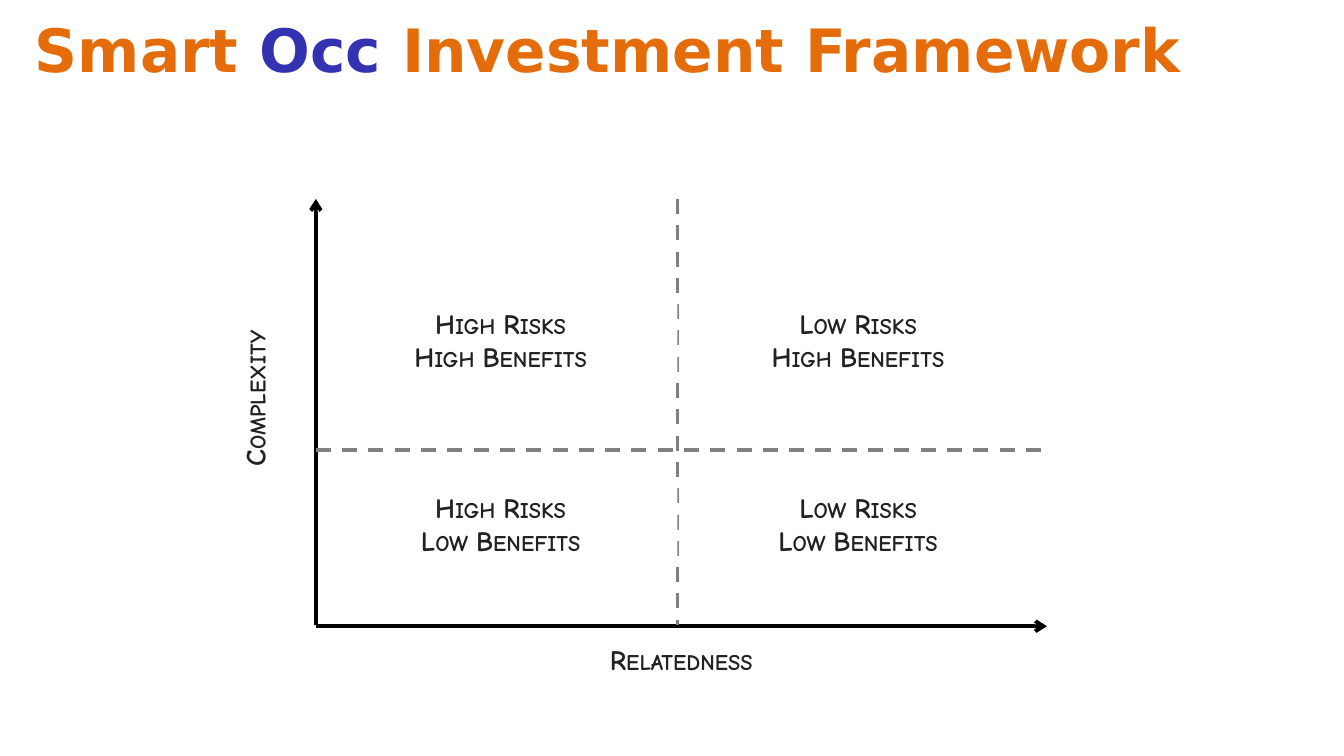
import pptx
import pptx.util
import pptx.dml.color
import pptx.enum.dml
import pptx.enum.shapes
import pptx.enum.text
import pptx.oxml
import pptx.oxml.ns

Pt = pptx.util.Pt
RGB = pptx.dml.color.RGBColor
Align = pptx.enum.text.PP_ALIGN
Anchor = pptx.enum.text.MSO_ANCHOR
Fit = pptx.enum.text.MSO_AUTO_SIZE

ORANGE = RGB(0xE4, 0x6C, 0x0A)
BLUE = RGB(0x33, 0x33, 0xB2)
BLACK = RGB(0, 0, 0)
GRAY = RGB(0x80, 0x80, 0x80)
INK = RGB(0x22, 0x22, 0x22)
WHITE = RGB(0xFF, 0xFF, 0xFF)


class Deck:
    head_font, head_size = "DejaVu Sans", 32
    font, size = "Comic Neue", 15
    weight = 2

    def __init__(self, width, height):
        self.file = pptx.Presentation()
        self.file.slide_width, self.file.slide_height = Pt(width), Pt(height)
        self.slide = self.file.slides.add_slide(self.file.slide_layouts[5])

    def title(self, parts, left, top, width, height):
        box = self.slide.shapes.title
        box.left, box.top = Pt(left), Pt(top)
        box.width, box.height = Pt(width), Pt(height)
        frame = box.text_frame
        frame.auto_size = Fit.NONE
        frame.vertical_anchor = Anchor.MIDDLE
        frame.margin_left = Pt(21.6)
        para = frame.paragraphs[0]
        para.alignment = Align.LEFT
        for text, color in parts:
            run = para.add_run()
            run.text = text
            run.font.name, run.font.size = self.head_font, Pt(self.head_size)
            run.font.bold = True
            run.font.color.rgb = color

    def line(self, x1, y1, x2, y2, color, dash=False, arrow=False):
        line = self.slide.shapes.add_connector(
            pptx.enum.shapes.MSO_CONNECTOR.STRAIGHT,
            Pt(x1), Pt(y1), Pt(x2), Pt(y2))
        line.line.color.rgb = color
        line.line.width = Pt(self.weight)
        if dash:
            line.line.dash_style = pptx.enum.dml.MSO_LINE.DASH
        props = line._element.spPr
        if arrow:
            tail = pptx.oxml.ns.qn("a:tailEnd")
            props.find(pptx.oxml.ns.qn("a:ln")).append(
                pptx.oxml.parse_xml(
                    f'<a:tailEnd {pptx.oxml.ns.nsdecls("a")} type="arrow"/>'))
        props.append(pptx.oxml.parse_xml(
            f'<a:effectLst {pptx.oxml.ns.nsdecls("a")}/>'))

    def label(self, text, left, top, width, height, turn=False):
        box = self.slide.shapes.add_shape(
            pptx.enum.shapes.MSO_SHAPE.RECTANGLE,
            Pt(left), Pt(top), Pt(width), Pt(height))
        box.shadow.inherit = False
        box.fill.solid()
        box.fill.fore_color.rgb = WHITE
        box.line.fill.background()
        frame = box.text_frame
        frame.text = text
        frame.word_wrap = True
        frame.auto_size = Fit.SHAPE_TO_FIT_TEXT
        frame.vertical_anchor = Anchor.TOP
        if turn:
            frame._txBody.bodyPr.set("vert", "vert270")
        for para in frame.paragraphs:
            para.alignment = Align.CENTER
            for run in para.runs:
                run.font.name, run.font.size = self.font, Pt(self.size)
                run.font.bold = True
                run.font.color.rgb = INK
                run._r.get_or_add_rPr().set("cap", "small")


deck = Deck(720, 405)

# Plot area
left, right, top, base = 169.2, 560.9, 106.6, 335
mid_x, mid_y = 362.9, 241.2

# Axes with their names
deck.line(left, base, left, top, BLACK, arrow=True)
deck.line(left, base + 0.5, right, base + 0.5, BLACK, arrow=True)
deck.label("Relatedness", left, 340.6, right - left, 25.2)
deck.label("Complexity", 123.8, 92.2, 32.4, 242.6, turn=True)

# Quadrant borders
deck.line(left, mid_y, right, mid_y, GRAY, dash=True)
deck.line(mid_x, top, mid_x, base, GRAY, dash=True)

# Quadrant texts
for risk, x, width in (("High", 173.5, 189.4), ("Low", 375.8, 167.8)):
    for gain, y in (("High", 160.6), ("Low", 259.2)):
        deck.label(f"{risk} Risks\n{gain} Benefits", x, y, width, 44)

# Title
deck.title((("Smart ", ORANGE), ("Occ", BLUE),
            (" Investment Framework", ORANGE)), -2.9, 1.4, 702, 49)

deck.file.save("out.pptx")
